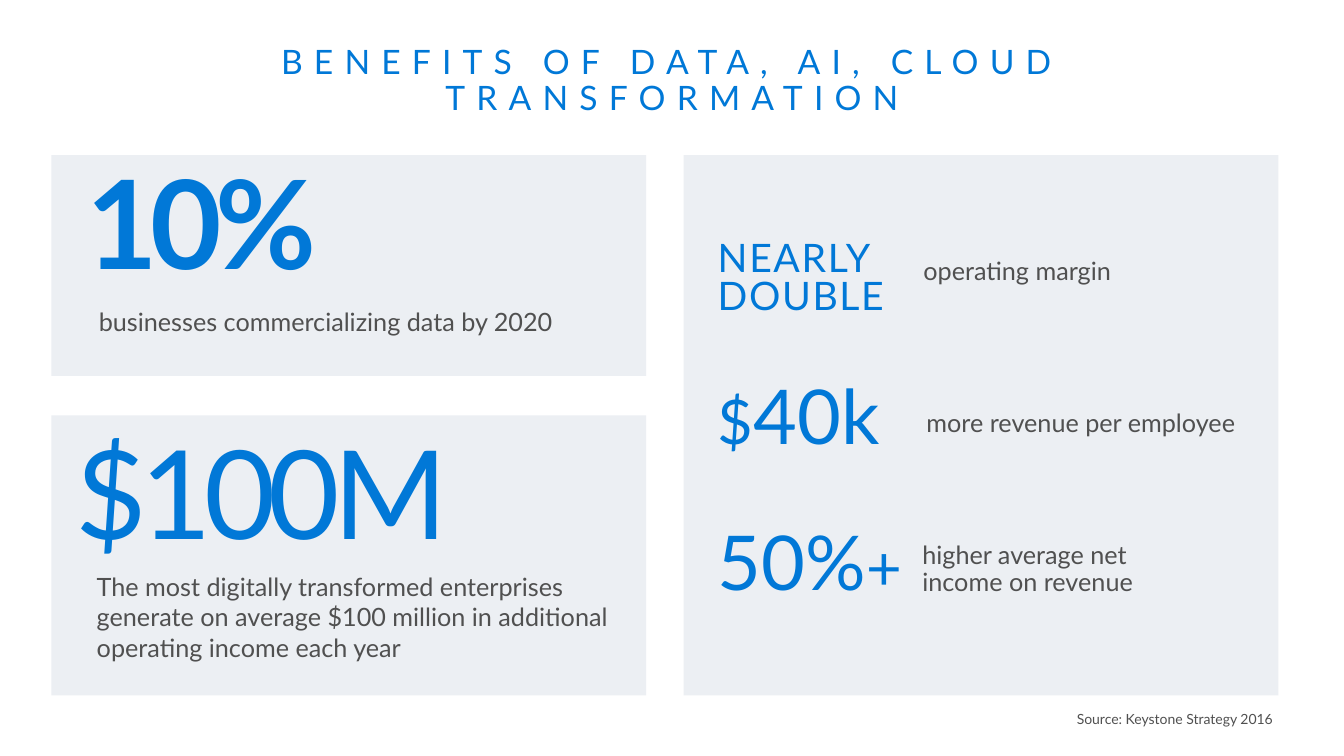
import pptx
import pptx.util
import pptx.dml.color
import pptx.enum.shapes
import pptx.enum.text

Inches, Pt = pptx.util.Inches, pptx.util.Pt
RGB = pptx.dml.color.RGBColor.from_string
TEXT = pptx.enum.text

THEME = {
    "font": "Lato",
    "title": "0078D7", "blue": "0178D7", "gray": "505050", "panel": "ECEFF3",
    "huge": 88, "big": 54, "sign": 44, "word": 28, "head": 24, "body": 18, "note": 10,
}

# Content
TITLE = "BENEFITS OF DATA, AI, CLOUD TRANSFORMATION"
SOURCE = "Source: Keystone Strategy 2016"
SHARE = ("10%", "businesses commercializing data by 2020")
INCOME = ("$100M", "The most digitally transformed enterprises generate on average "
          "$100 million in additional operating income each year")
# Figure runs, figure box (top, width, height), format, label, label box
GAINS = [
    ([("NEARLY DOUBLE", "word")], (2.36, 1.99, 0.85), {"line": 0.8, "track": 1.2},
     "operating margin", (9.06, 2.52, 2.99, 0.37)),
    ([("$", "sign"), ("40k", "big")], (3.71, 1.99, 0.94), {"line": 0.9},
     "more revenue per employee", (9.09, 4.03, 3.4, 0.37)),
    ([("50%", "big"), ("+", "sign")], (5.16, 2.28, 0.94), {"line": 0.9},
     "higher average net income on revenue", (9.05, 5.33, 2.86, 0.65)),
]

# Panel grid
LEFT, RIGHT, WIDE = 0.51, 6.78, 5.9
TOP, SPLIT, LOW, END = 1.54, 3.73, 4.12, 6.9
PANELS = [(LEFT, TOP, SPLIT), (LEFT, LOW, END), (RIGHT, TOP, END)]
FLUSH = (0, 0)

deck = pptx.Presentation()
deck.slide_width, deck.slide_height = Inches(13.33), Inches(7.5)
slide = deck.slides.add_slide(deck.slide_layouts[6])


def add_text(text, box, size="body", color="gray", pad=(0.1, 0.05), line=None,
             track=0, bold=False, align=None, anchor="TOP", grow=True):
    """Add a box holding a string, or a list of (string, size) runs."""
    frame = slide.shapes.add_textbox(*map(Inches, box)).text_frame
    frame.word_wrap = True
    fit = TEXT.MSO_AUTO_SIZE
    frame.auto_size = fit.SHAPE_TO_FIT_TEXT if grow else fit.NONE
    frame.vertical_anchor = TEXT.MSO_ANCHOR[anchor]
    frame.margin_left = frame.margin_right = Inches(pad[0])
    frame.margin_top = frame.margin_bottom = Inches(pad[1])
    para = frame.paragraphs[0]
    para.alignment = align
    para.line_spacing = line
    for part, step in [(text, size)] if isinstance(text, str) else text:
        run = para.add_run()
        run.text = part
        run.font.name = THEME["font"]
        run.font.size = Pt(THEME[step])
        run.font.bold = bold
        run.font.color.rgb = RGB(THEME[color])
        if track:
            run._r.get_or_add_rPr().set("spc", str(round(track * 100)))


# Panels
for left, top, end in PANELS:
    panel = slide.shapes.add_shape(
        pptx.enum.shapes.MSO_SHAPE.RECTANGLE,
        *map(Inches, (left, top, WIDE, end - top)))
    panel.shadow.inherit = False
    panel.fill.solid()
    panel.fill.fore_color.rgb = RGB(THEME["panel"])
    panel.line.fill.background()

# Title
add_text(TITLE, (0.29, 0.32, 12.75, 0.98), size="head", color="title", pad=(0.16, 0.1),
         line=0.9, track=8, align=TEXT.PP_ALIGN.CENTER, anchor="MIDDLE", grow=False)

# Left panels
add_text(SHARE[0], (0.76, 1.57, 2.75, 1.47), size="huge", color="blue",
         line=0.9, track=-5, bold=True)
add_text(SHARE[1], (0.98, 3.04, 4.86, 0.3), pad=FLUSH)
add_text(INCOME[0], (0.75, 4.13, 5.64, 1.48), size="huge", color="blue",
         pad=FLUSH, track=-5)
add_text(INCOME[1], (0.96, 5.67, 5.23, 0.91), pad=FLUSH)

# Right panel
for figure, place, style, label, spot in GAINS:
    add_text(figure, (7.02, *place), color="blue", **style)
    add_text(label, spot, line=0.9)

# Source
add_text(SOURCE, (10.68, 7.05, 2.14, 0.17), size="note", pad=FLUSH)

deck.save("out.pptx")
